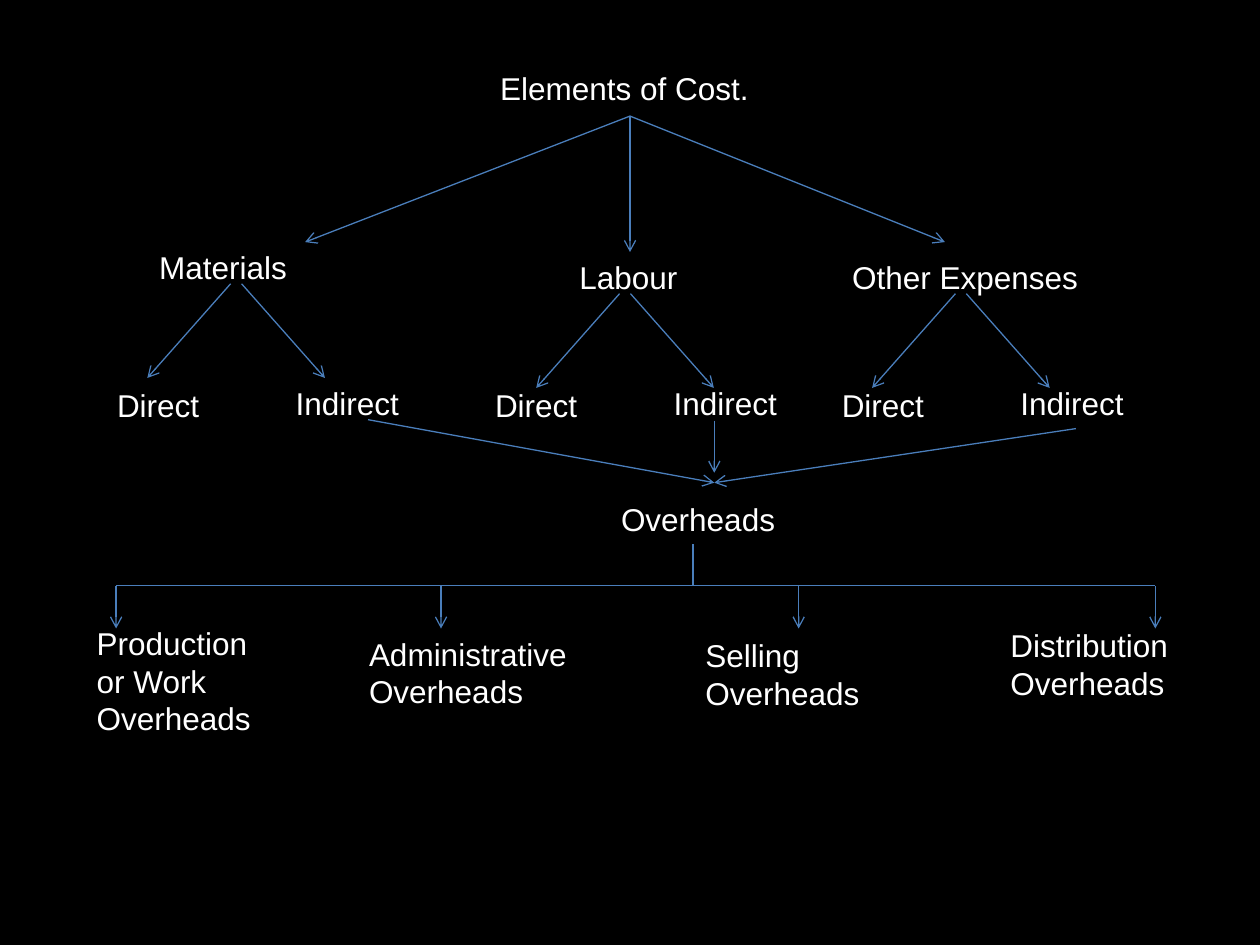
from dataclasses import dataclass

from pptx import Presentation
from pptx.dml.color import RGBColor
from pptx.enum.shapes import MSO_CONNECTOR
from pptx.enum.text import MSO_AUTO_SIZE, PP_ALIGN
from pptx.oxml.ns import qn
from pptx.util import Cm, Pt
from lxml import etree

STRAIGHT = MSO_CONNECTOR.STRAIGHT
FIT_SHAPE = MSO_AUTO_SIZE.SHAPE_TO_FIT_TEXT
LEFT, CENTER = PP_ALIGN.LEFT, PP_ALIGN.CENTER


@dataclass(frozen=True)
class Theme:
    background: RGBColor = RGBColor(0x00, 0x00, 0x00)
    text: RGBColor = RGBColor(0xFF, 0xFF, 0xFF)
    line: RGBColor = RGBColor(0x4A, 0x7E, 0xBB)
    font: str = "Arial"
    text_size: Pt = Pt(18)
    line_width: Pt = Pt(0.75)


@dataclass(frozen=True)
class Box:
    left: float
    top: float
    width: float
    height: float = 1.02


THEME = Theme()


def add_label(slide, box, text, alignment=LEFT):
    shape = slide.shapes.add_textbox(
        Cm(box.left), Cm(box.top), Cm(box.width), Cm(box.height))
    frame = shape.text_frame
    frame.word_wrap = True
    frame.auto_size = FIT_SHAPE
    paragraph = frame.paragraphs[0]
    paragraph.alignment = alignment
    run = paragraph.add_run()
    run.text = text
    run.font.name = THEME.font
    run.font.size = THEME.text_size
    run.font.color.rgb = THEME.text


def add_line(slide, start, end, arrow=True):
    connector = slide.shapes.add_connector(
        STRAIGHT, *(Cm(length) for length in (*start, *end)))
    connector.line.color.rgb = THEME.line
    connector.line.width = THEME.line_width
    if arrow:
        outline = connector.line._get_or_add_ln()
        etree.SubElement(outline, qn("a:tailEnd"), type="arrow")
    etree.SubElement(connector._element.spPr, qn("a:effectLst"))


def add_heading(slide, box):
    add_label(slide, box, "Elements of Cost.", CENTER)
    apex = (box.left + 9.32, box.top + 1.07)
    for reach, drop in ((-6.55, 2.54), (0, 2.74), (6.35, 2.54)):
        add_line(slide, apex, (apex[0] + reach, apex[1] + drop))


def add_branch(slide, box, text, apex, split_left, split_top):
    add_label(slide, box, text)
    fork_top = box.top + 0.84
    for side in (-1, 1):
        add_line(slide, (box.left + apex + side * 0.11, fork_top),
                 (box.left + apex + side * 1.79, fork_top + 1.9))
    for name, offset, drop in (("Direct", 0, 0.03), ("Indirect", 3.6, 0)):
        add_label(slide, Box(box.left + split_left + offset, split_top + drop, 2.75), name)


def add_overheads(slide, box):
    add_label(slide, box, "Overheads")
    center = box.left + 2.13
    for reach, rise, gap in ((0, 1.48, 0.43), (-6.98, 1.5, 0.23), (7.29, 1.32, 0.23)):
        add_line(slide, (center + reach, box.top - rise), (center, box.top - gap))


def add_overhead_types(slide, box):
    stem = box.left + 11.63
    right = box.left + box.width
    add_line(slide, (stem, box.top - 0.84), (stem, box.top), arrow=False)
    add_line(slide, (box.left, box.top), (right, box.top), arrow=False)
    types = (
        ("Production or Work Overheads", 0, -0.64, 0.64, 4.23, 2.54),
        ("Administrative Overheads", 6.55, -1.7, 0.86, 4.65, 1.78),
        ("Selling Overheads", 13.76, -2.13, 0.89, 4.23, 1.78),
        ("Distribution Overheads", box.width, -3.17, 0.69, 4.23, 1.78),
    )
    for text, offset, shift, drop, width, height in types:
        column = box.left + offset
        add_line(slide, (column, box.top), (column, box.top + 0.86))
        add_label(slide, Box(column + shift, box.top + drop, width, height), text)


def main():
    presentation = Presentation()
    presentation.slide_width = Cm(25.4)
    presentation.slide_height = Cm(19.05)
    slide = presentation.slides.add_slide(presentation.slide_layouts[6])
    slide.background.fill.solid()
    slide.background.fill.fore_color.rgb = THEME.background

    add_heading(slide, Box(3.38, 1.27, 18.42))
    branches = (
        (Box(2.96, 4.88, 4.02), "Materials", 1.8, -0.85),
        (Box(11.43, 5.08, 4.02), "Labour", 1.17, -1.7),
        (Box(16.93, 5.08, 5.5), "Other Expenses", 2.44, -0.21),
    )
    for box, text, apex, split_left in branches:
        add_branch(slide, box, text, apex, split_left, split_top=7.62)
    add_overheads(slide, Box(12.27, 9.96, 4.45))
    add_overhead_types(slide, Box(2.34, 11.81, 20.95))

    presentation.save("out.pptx")


if __name__ == "__main__":
    main()
